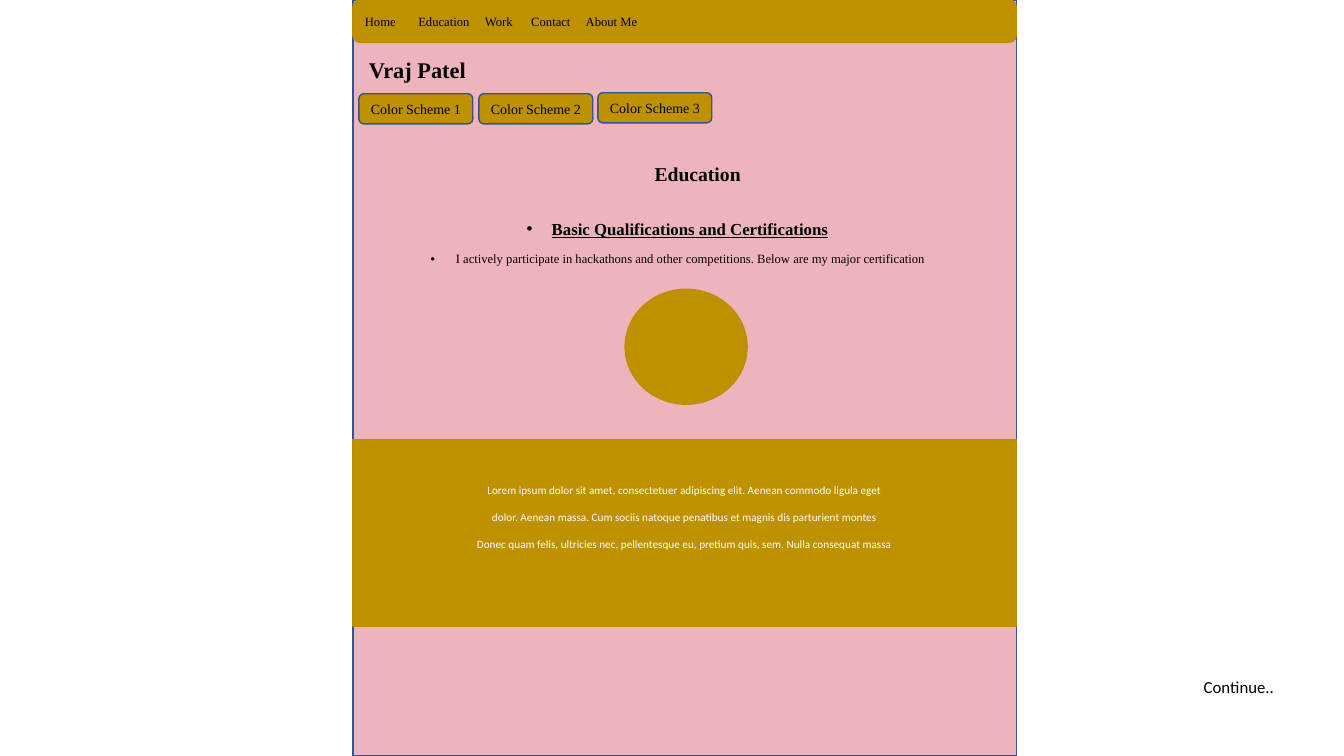
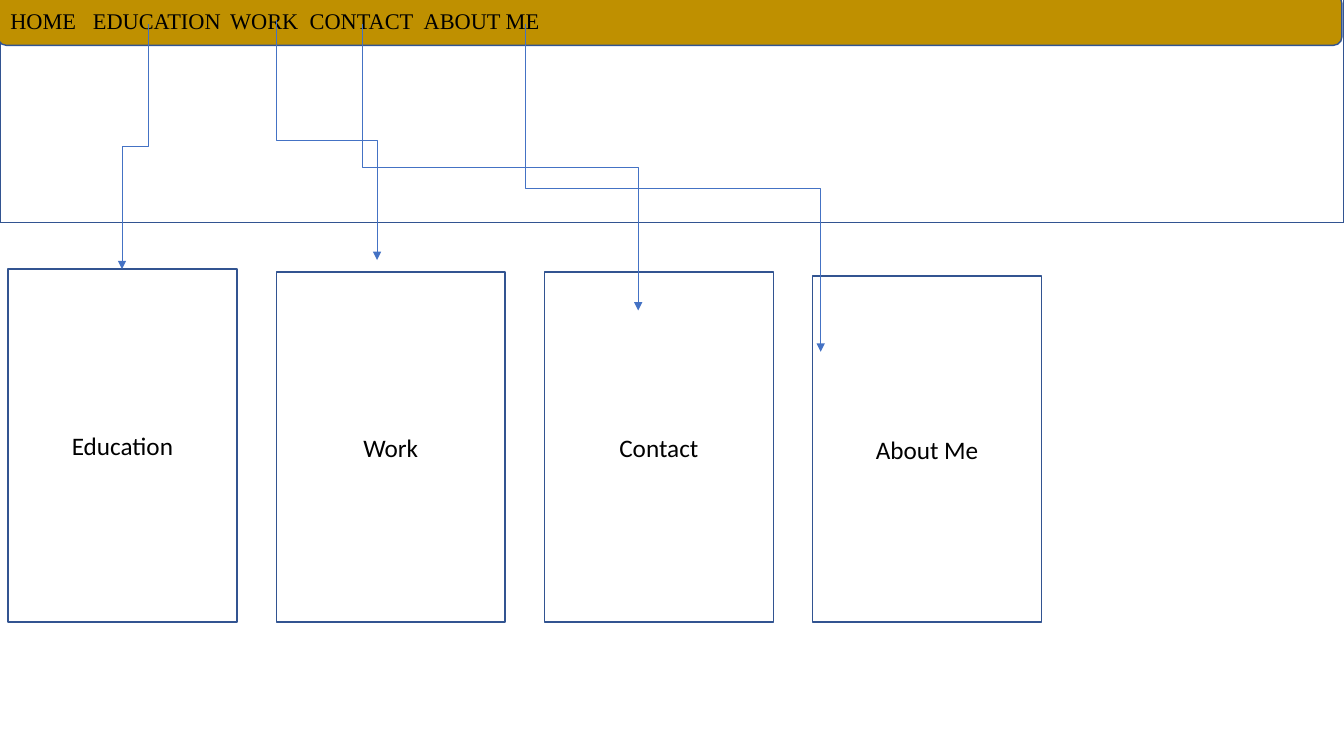
from lxml import etree
from pptx import Presentation
from pptx.dml.color import RGBColor
from pptx.enum.shapes import MSO_CONNECTOR, MSO_SHAPE
from pptx.enum.text import MSO_ANCHOR, PP_ALIGN
from pptx.oxml.ns import qn
from pptx.util import Pt

EMU_PER_PX = 9144  # 100 px to the inch
SLIDE_W, SLIDE_H = 1333, 750

GOLD = RGBColor(0xBF, 0x90, 0x00)
GOLD_EDGE = RGBColor(0xBD, 0x8E, 0x00)
PINK = RGBColor(0xEE, 0xB4, 0xBC)
NAVY = RGBColor(0x32, 0x54, 0x91)
BLUE = RGBColor(0x44, 0x72, 0xC4)
BLACK = RGBColor(0, 0, 0)
WHITE = RGBColor(0xFF, 0xFF, 0xFF)

SERIF, SANS = "Times New Roman", "Calibri"
RECT, ROUNDED, OVAL = MSO_SHAPE.RECTANGLE, MSO_SHAPE.ROUNDED_RECTANGLE, MSO_SHAPE.OVAL
ELBOW = MSO_CONNECTOR.ELBOW
LEFT, CENTER = PP_ALIGN.LEFT, PP_ALIGN.CENTER
MIDDLE, TOP = MSO_ANCHOR.MIDDLE, MSO_ANCHOR.TOP

PAGE_X, PAGE_W = 350, 658
SECTION = {"align": CENTER, "line_spacing": 0.9}


def px(*lengths):
    return [int(length * EMU_PER_PX) for length in lengths]


def write(paragraph, text, size, font=SERIF, color=BLACK, align=LEFT,
          line_spacing=None, space_before=None, **emphasis):
    """Fill a paragraph with one formatted run."""
    layout = {"alignment": align, "line_spacing": line_spacing, "space_before": space_before}
    for name, value in layout.items():
        setattr(paragraph, name, value)
    run = paragraph.add_run()
    run.text = text
    for name, value in {"name": font, "size": Pt(size), **emphasis}.items():
        setattr(run.font, name, value)
    run.font.color.rgb = color


def add_block(slide, kind, box, fill, edge, label=None, **style):
    """Filled, outlined shape with an optional label in its middle."""
    block = slide.shapes.add_shape(kind, *px(*box))
    block.shadow.inherit = False
    block.fill.solid()
    block.fill.fore_color.rgb = fill
    block.line.color.rgb = edge
    block.line.width = Pt(1)
    frame = block.text_frame
    frame.word_wrap, frame.vertical_anchor = True, MIDDLE
    if label:
        write(frame.paragraphs[0], label, **style)
    return block


def add_text(slide, box, text, **style):
    frame = slide.shapes.add_textbox(*px(*box)).text_frame
    frame.word_wrap, frame.vertical_anchor = True, TOP
    write(frame.paragraphs[0], text, **style)
    return frame


def add_bullet(paragraph, indent):
    props = paragraph._p.get_or_add_pPr()
    emu = px(indent)[0]
    props.set("marL", str(emu))
    props.set("indent", str(-emu))
    etree.SubElement(props, qn("a:buFont"), typeface="Arial")
    etree.SubElement(props, qn("a:buChar"), char="•")


def add_nav(slide, box, edge, items, stops, size):
    """Menu bar whose items sit on tab stops."""
    bar = add_block(slide, ROUNDED, box, GOLD, edge, "\t".join(items), size=size)
    props = bar.text_frame.paragraphs[0]._p.get_or_add_pPr()
    tabs = etree.SubElement(props, qn("a:tabLst"))
    for stop in stops:
        etree.SubElement(tabs, qn("a:tab"), pos=str(px(stop)[0]), algn="l")


def add_drop_arrow(slide, x1, y1, x2, y2):
    """Elbow arrow going down, across and down: a turned horizontal elbow."""
    mid_x, mid_y = (x1 + x2) / 2, (y1 + y2) / 2
    rightward = x2 > x1
    reach = (y2 - y1) / 2 * (-1 if rightward else 1)
    rise = abs(x2 - x1) / 2
    arrow = slide.shapes.add_connector(
        ELBOW, *px(mid_x - reach, mid_y - rise, mid_x + reach, mid_y + rise))
    arrow.line.color.rgb = BLUE
    arrow.line.width = Pt(0.5)
    props = arrow._element.spPr
    props.find(qn("a:xfrm")).set("rot", str((270 if rightward else 90) * 60000))
    etree.SubElement(props.find(qn("a:ln")), qn("a:tailEnd"), type="triangle")
    etree.SubElement(props, qn("a:effectLst"))


def build_education_page(slide):
    # Page, headings and bullets
    add_block(slide, RECT, (PAGE_X, 0, PAGE_W, SLIDE_H), PINK, NAVY)
    add_text(slide, (380, 158, 624, 42), "Education", size=14, bold=True, **SECTION)
    bullets = add_text(slide, (PAGE_X, 214, 644, 102), "Basic Qualifications and Certifications",
                       size=12, bold=True, underline=True, **SECTION)
    write(bullets.add_paragraph(),
          "I actively participate in hackathons and other competitions. "
          "Below are my major certification",
          size=9, space_before=Pt(10), **SECTION)
    for paragraph in bullets.paragraphs:
        add_bullet(paragraph, 25)

    # Menu, owner and colour buttons
    add_nav(slide, (PAGE_X, 0, PAGE_W, 42), GOLD_EDGE,
            ("Home", "Education", "Work", "Contact", "About Me"), (53, 119, 165, 219), 9)
    add_text(slide, (356, 51, 385, 37), "Vraj Patel", size=16, bold=True)
    for number, (x, y) in enumerate(((356, 93), (475, 93), (593, 92)), 1):
        add_block(slide, ROUNDED, (x, y, 113, 30), GOLD, NAVY,
                  f"Color Scheme {number}", size=10, align=CENTER)

    # Certificate spot and continuation note
    add_block(slide, OVAL, (620, 287, 121, 114), GOLD, GOLD_EDGE)
    add_text(slide, (1184, 666, 95, 30), "Continue..", size=12, font=SANS)

    # Description band
    band = add_block(slide, RECT, (PAGE_X, 436, PAGE_W, 185), GOLD, GOLD_EDGE).text_frame
    band.margin_bottom = px(36)[0]
    lines = (
        "Lorem ipsum dolor sit amet, consectetuer adipiscing elit. Aenean commodo ligula eget",
        "dolor. Aenean massa. Cum sociis natoque penatibus et magnis dis parturient montes",
        "Donec quam felis, ultricies nec, pellentesque eu, pretium quis, sem. Nulla consequat massa",
    )
    for index, line in enumerate(lines):
        write(band.add_paragraph() if index else band.paragraphs[0], line, size=8, font=SANS,
              color=WHITE, align=CENTER, space_before=Pt(9.6) if index else None)


def build_site_map(slide):
    add_block(slide, RECT, (0, -6, SLIDE_W, 227), WHITE, NAVY)

    # Page cards: equal steps, one common bottom
    bottom = 617
    cards = (("Education", 267), ("Work", 270), ("Contact", 270), ("About Me", 274))
    for column, (label, top) in enumerate(cards):
        add_block(slide, RECT, (8 + 266 * column, top, 227, bottom - top), WHITE, NAVY,
                  label, size=18, font=SANS, align=CENTER)

    # Menu and its arrows to the cards
    add_nav(slide, (-2, -5, SLIDE_W, 50), NAVY,
            ("HOME", "EDUCATION", "WORK", "CONTACT", "ABOUT ME"), (82, 218, 297, 410), 16)
    for route in ((147, 24, 121, 267), (274, 20, 374, 258),
                  (359, 24, 633, 308), (521, 24, 814, 349)):
        add_drop_arrow(slide, *route)


def main():
    deck = Presentation()
    deck.slide_width, deck.slide_height = px(SLIDE_W, SLIDE_H)
    blank = deck.slide_layouts[6]
    for build in (build_education_page, build_site_map):
        build(deck.slides.add_slide(blank))
    deck.save("out.pptx")


if __name__ == "__main__":
    main()
